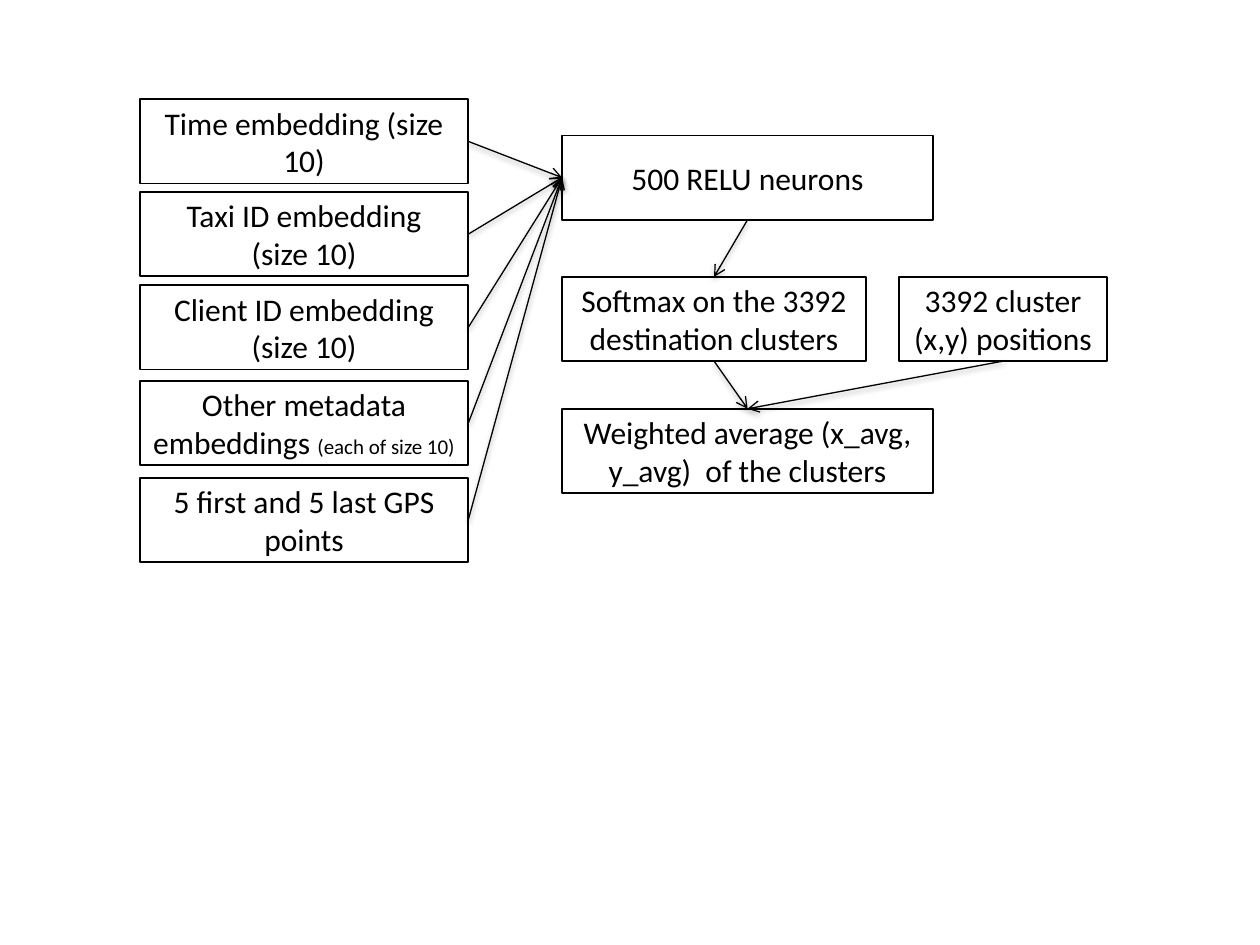
import pptx
import pptx.dml.color
import pptx.enum.shapes
import pptx.enum.text
import pptx.oxml
import pptx.oxml.ns
import pptx.util
from pptx.util import Cm, Pt

COLORS = {"fill": "FFFFFF", "ink": "000000"}
BOX_HEIGHT = 1.7
TOP, LEFT, BOTTOM, RIGHT = range(4)

prs = pptx.Presentation()
prs.slide_width, prs.slide_height = Cm(25.4), Cm(19.05)
s = prs.slides.add_slide(prs.slide_layouts[6])


def add_box(text, x, y, width, size=18, note="", note_size=12):
    """Add an outlined box; each line of text is a paragraph, the note a smaller run."""
    sp = s.shapes.add_shape(pptx.enum.shapes.MSO_SHAPE.RECTANGLE,
                            Cm(x), Cm(y), Cm(width), Cm(BOX_HEIGHT))
    sp.shadow.inherit = False
    sp.fill.solid()
    sp.fill.fore_color.rgb = pptx.dml.color.RGBColor.from_string(COLORS["fill"])
    sp.line.color.rgb = pptx.dml.color.RGBColor.from_string(COLORS["ink"])
    sp.line.width = Pt(1)
    tf = sp.text_frame
    tf.word_wrap = True
    tf.vertical_anchor = pptx.enum.text.MSO_ANCHOR.MIDDLE
    tf.text = text
    if note:
        tf.paragraphs[-1].add_run().text = note
    for p in tf.paragraphs:
        p.alignment = pptx.enum.text.PP_ALIGN.CENTER
        for r in p.runs:
            r.font.name = "Calibri"
            r.font.size = Pt(note_size if r.text == note else size)
            r.font.color.rgb = pptx.dml.color.RGBColor.from_string(COLORS["ink"])
    return sp


def add_arrow(start, start_site, end, end_site):
    """Join two boxes with a thin arrow that casts a soft shadow."""
    line = s.shapes.add_connector(pptx.enum.shapes.MSO_CONNECTOR.STRAIGHT, 0, 0, 0, 0)
    line.begin_connect(start, start_site)
    line.end_connect(end, end_site)
    line.line.color.rgb = pptx.dml.color.RGBColor.from_string(COLORS["ink"])
    line.line.width = Pt(0.75)
    ns = pptx.oxml.ns.nsdecls("a")
    line.line._get_or_add_ln().append(
        pptx.oxml.parse_xml(f'<a:tailEnd {ns} type="arrow"/>'))
    line._element.spPr.append(pptx.oxml.parse_xml(
        f'<a:effectLst {ns}><a:outerShdw blurRad="{Pt(3.1)}" dist="{Pt(1.6)}" '
        f'dir="5400000" rotWithShape="0"><a:srgbClr val="{COLORS["ink"]}">'
        '<a:alpha val="38000"/></a:srgbClr></a:outerShdw></a:effectLst>'))


inputs = [
    add_box(text, 2.82, y, 6.62, note=note)
    for text, y, note in [
        ("Time embedding (size 10)", 2.0, ""),
        ("Taxi ID embedding\n(size 10)", 3.87, ""),
        ("Client ID embedding\n(size 10)", 5.75, ""),
        ("Other metadata embeddings ", 7.68, "(each of size 10)"),
        ("5 first and 5 last GPS points", 9.63, ""),
    ]
]
neurons = add_box("500 RELU neurons", 11.33, 2.73, 7.48)
softmax = add_box("Softmax on the 3392 destination clusters", 11.33, 5.58, 6.13)
average = add_box("Weighted average (x_avg, y_avg)  of the clusters", 11.33, 8.24, 7.48)
positions = add_box("3392 cluster (x,y) positions", 18.12, 5.58, 4.2)

for box in inputs:
    add_arrow(box, RIGHT, neurons, LEFT)
for start, end in [(neurons, softmax), (positions, average), (softmax, average)]:
    add_arrow(start, BOTTOM, end, TOP)

prs.save("out.pptx")
